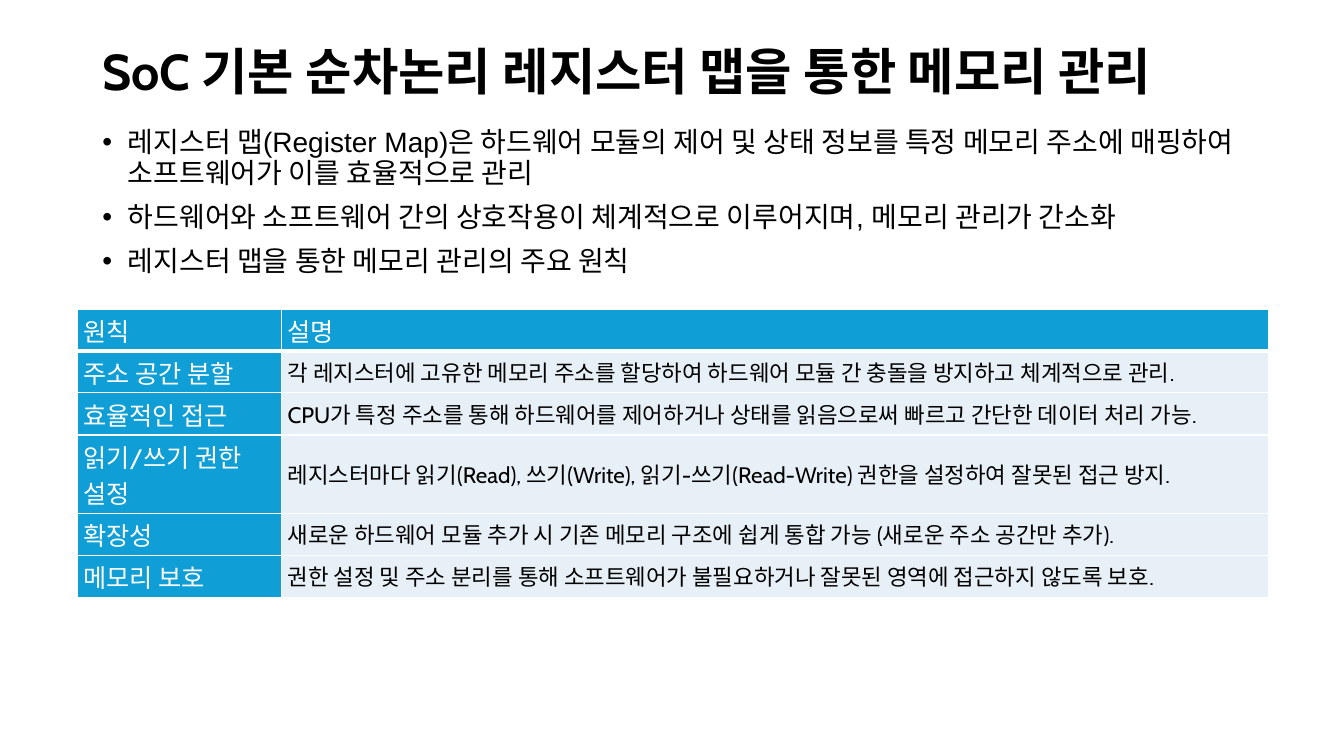
import pptx
import pptx.util
import pptx.dml.color
import pptx.enum.text
import pptx.oxml
import pptx.oxml.ns
from pptx.util import Cm, Pt

COLORS = {"text": "000000", "header": "0F9ED5", "band": "E7F0F7", "white": "FFFFFF"}
NS = pptx.oxml.ns.nsdecls("a")
MIDDLE = pptx.enum.text.MSO_ANCHOR.MIDDLE
LEFT = pptx.enum.text.PP_ALIGN.LEFT


def style_font(paragraph, name, size, color, bold=False):
    paragraph.font.name = name
    paragraph.font.size = Pt(size)
    paragraph.font.bold = bold
    paragraph.font.color.rgb = pptx.dml.color.RGBColor.from_string(COLORS[color])


presentation = pptx.Presentation()
presentation.slide_width = Cm(33.87)
presentation.slide_height = Cm(19.05)
slide = presentation.slides.add_slide(presentation.slide_layouts[5])

title = slide.shapes.title
title.left, title.top, title.width, title.height = Cm(2.33), Cm(1.01), Cm(29.21), Cm(1.73)
title.text_frame.text = "SoC 기본 순차논리 레지스터 맵을 통한 메모리 관리"
title.text_frame.vertical_anchor = MIDDLE
title.text_frame.auto_size = pptx.enum.text.MSO_AUTO_SIZE.NONE
heading = title.text_frame.paragraphs[0]
heading.alignment = LEFT
heading.line_spacing = 0.9
style_font(heading, "Cabin", 36, "text", True)

summary_points = [
    "레지스터 맵(Register Map)은 하드웨어 모듈의 제어 및 상태 정보를 특정 메모리 주소에 매핑하여 소프트웨어가 이를 효율적으로 관리",
    "하드웨어와 소프트웨어 간의 상호작용이 체계적으로 이루어지며, 메모리 관리가 간소화",
    "레지스터 맵을 통한 메모리 관리의 주요 원칙",
]
summary = slide.shapes.add_textbox(Cm(2.33), Cm(3.12), Cm(29.21), Cm(14.05)).text_frame
summary.word_wrap = True
for index, point in enumerate(summary_points):
    paragraph = summary.add_paragraph() if index else summary.paragraphs[0]
    paragraph.text = point
    paragraph.line_spacing = 0.9
    paragraph.space_before = Pt(10 if index else 0)
    properties = paragraph._p.get_or_add_pPr()
    properties.set("marL", str(Cm(0.64)))
    properties.set("indent", str(-Cm(0.64)))
    properties.append(pptx.oxml.parse_xml(f'<a:buFont {NS} typeface="Arial"/>'))
    properties.append(pptx.oxml.parse_xml(f'<a:buChar {NS} char="•"/>'))
    style_font(paragraph, "Arial", 20, "text")

principles = [
    ("원칙", "설명"),
    ("주소 공간 분할", "각 레지스터에 고유한 메모리 주소를 할당하여 하드웨어 모듈 간 충돌을 방지하고 체계적으로 관리."),
    ("효율적인 접근", "CPU가 특정 주소를 통해 하드웨어를 제어하거나 상태를 읽음으로써 빠르고 간단한 데이터 처리 가능."),
    ("읽기/쓰기 권한 설정", "레지스터마다 읽기(Read), 쓰기(Write), 읽기-쓰기(Read-Write) 권한을 설정하여 잘못된 접근 방지."),
    ("확장성", "새로운 하드웨어 모듈 추가 시 기존 메모리 구조에 쉽게 통합 가능 (새로운 주소 공간만 추가)."),
    ("메모리 보호", "권한 설정 및 주소 분리를 통해 소프트웨어가 불필요하거나 잘못된 영역에 접근하지 않도록 보호."),
]
row_heights = [1.04, 1.06, 1.06, 1.97, 1.06, 1.06]
table = slide.shapes.add_table(
    len(principles), 2, Cm(1.95), Cm(7.8), Cm(30.02), Cm(sum(row_heights))
).table
table.columns[0].width = Cm(5.15)
table.columns[1].width = Cm(24.87)

for row, texts in enumerate(principles):
    table.rows[row].height = Cm(row_heights[row])
    for column, text in enumerate(texts):
        cell = table.cell(row, column)
        is_heading = row == 0 or column == 0
        cell.text = text
        cell.margin_left = cell.margin_right = Cm(0.15)
        cell.margin_top = cell.margin_bottom = Cm(0.08)
        if row:
            cell.vertical_anchor = MIDDLE
        for side in ("lnL", "lnR", "lnT", "lnB"):
            thick = (row, side) in ((0, "lnB"), (1, "lnT"))
            cell._tc.get_or_add_tcPr().append(pptx.oxml.parse_xml(
                f'<a:{side} {NS} w="{Pt(3 if thick else 1)}"><a:solidFill>'
                f'<a:srgbClr val="{COLORS["white"]}"/></a:solidFill></a:{side}>'
            ))
        cell.fill.solid()
        cell.fill.fore_color.rgb = pptx.dml.color.RGBColor.from_string(
            COLORS["header" if is_heading else "band"]
        )
        style_font(
            cell.text_frame.paragraphs[0], "Cabin",
            18 if is_heading else 16, "white" if is_heading else "text",
        )

presentation.save("out.pptx")
